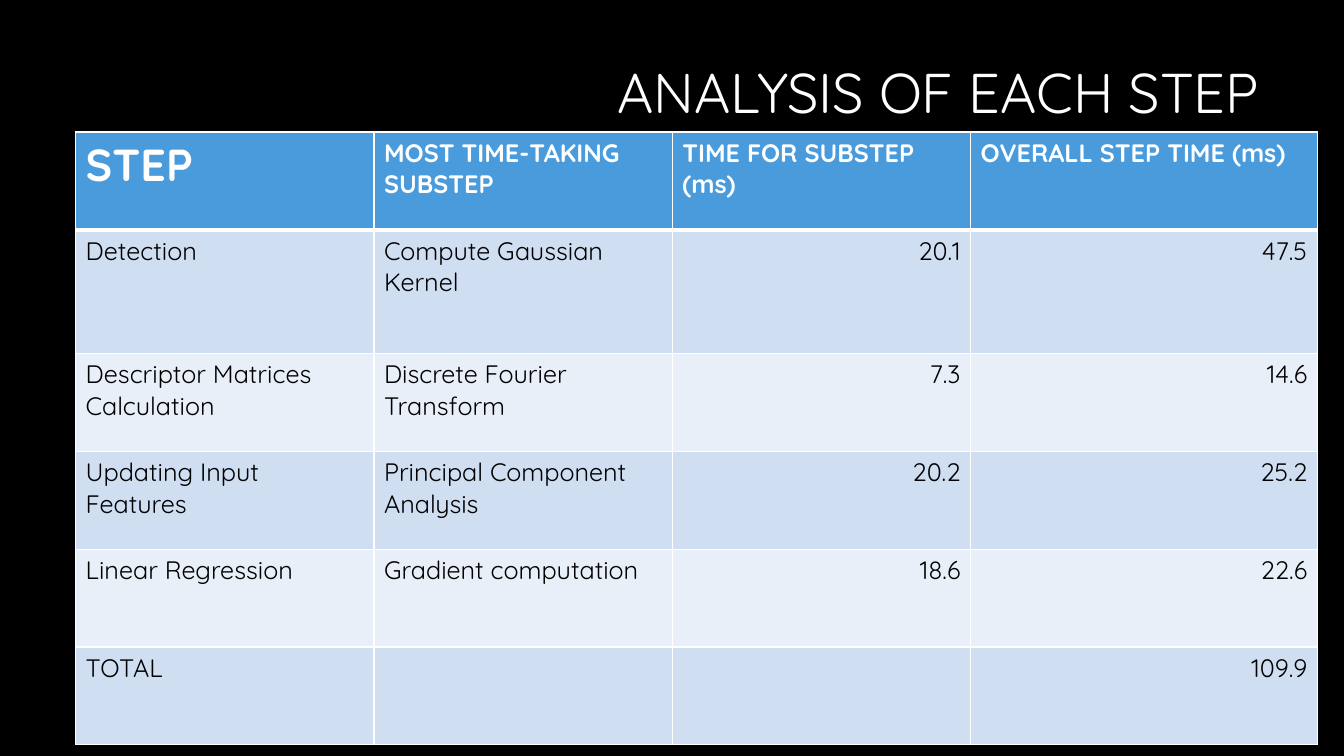
from lxml import etree
from pptx import Presentation
from pptx.dml.color import RGBColor
from pptx.enum import text
from pptx.oxml import ns
from pptx.util import Pt

BLACK = RGBColor(0x00, 0x00, 0x00)
WHITE = RGBColor(0xFF, 0xFF, 0xFF)
HEADER_BLUE = RGBColor(0x4A, 0x9B, 0xDC)
BAND_DARK = RGBColor(0xD0, 0xDE, 0xF2)
BAND_LIGHT = RGBColor(0xE9, 0xEF, 0xF9)

HEADINGS = ["STEP", "MOST TIME-TAKING SUBSTEP", "TIME FOR SUBSTEP (ms)", "OVERALL STEP TIME (ms)"]
STEPS = [
    ["Detection", "Compute Gaussian Kernel", "20.1", "47.5"],
    ["Descriptor Matrices Calculation", "Discrete Fourier Transform", "7.3", "14.6"],
    ["Updating Input Features", "Principal Component Analysis", "20.2", "25.2"],
    ["Linear Regression", "Gradient computation", "18.6", "22.6"],
    ["TOTAL", "", "", "109.9"],
]
COLUMN_WIDTHS = [213.12, 213.12, 213.12, 247.68]
ROW_HEIGHTS = [69.84, 88.56, 69.84, 69.84, 69.84, 69.84]


def write(paragraph, wording, size, color, bold=False, align=text.PP_ALIGN.LEFT):
    paragraph.alignment = align
    run = paragraph.add_run()
    run.text = wording
    for name, value in {"name": "Quicksand", "size": Pt(size), "bold": bold}.items():
        setattr(run.font, name, value)
    run.font.color.rgb = color


def add_title(slide, wording):
    box = slide.shapes.add_textbox(Pt(228.24), Pt(17.28), Pt(678.24), Pt(101.52))
    frame = box.text_frame
    layout = {
        "word_wrap": True,
        "auto_size": text.MSO_AUTO_SIZE.NONE,
        "vertical_anchor": text.MSO_ANCHOR.MIDDLE,
    }
    for name, value in layout.items():
        setattr(frame, name, value)
    heading = frame.paragraphs[0]
    heading.line_spacing = 0.9
    write(heading, wording, 40, WHITE, align=text.PP_ALIGN.RIGHT)


def add_borders(cell, widths):
    properties = cell._tc.get_or_add_tcPr()
    for side, width in widths.items():
        line = etree.SubElement(properties, ns.qn(f"a:ln{side}"), w=str(Pt(width)))
        fill = etree.SubElement(line, ns.qn("a:solidFill"))
        etree.SubElement(fill, ns.qn("a:srgbClr"), val=str(WHITE))


def fill_cell(cell, wording, row, column):
    is_header = row == 0
    add_borders(cell, {"L": 1, "R": 1, "T": 3 if row == 1 else 1, "B": 3 if is_header else 1})
    cell.fill.solid()
    band = BAND_DARK if row % 2 else BAND_LIGHT
    cell.fill.fore_color.rgb = HEADER_BLUE if is_header else band
    if wording:
        is_number = not is_header and column >= 2
        write(
            cell.text_frame.paragraphs[0],
            wording,
            size=32 if is_header and column == 0 else 18,
            color=WHITE if is_header else BLACK,
            bold=is_header,
            align=text.PP_ALIGN.RIGHT if is_number else text.PP_ALIGN.LEFT,
        )


def add_timings(slide, rows):
    timings = slide.shapes.add_table(
        len(rows), len(HEADINGS), Pt(54), Pt(94.32),
        Pt(sum(COLUMN_WIDTHS)), Pt(sum(ROW_HEIGHTS)),
    ).table
    for column, width in zip(timings.columns, COLUMN_WIDTHS):
        column.width = Pt(width)
    for row, height in zip(timings.rows, ROW_HEIGHTS):
        row.height = Pt(height)
    for r, wordings in enumerate(rows):
        for c, wording in enumerate(wordings):
            fill_cell(timings.cell(r, c), wording, r, c)


def main():
    deck = Presentation()
    deck.slide_width, deck.slide_height = Pt(960), Pt(540)
    slide = deck.slides.add_slide(deck.slide_layouts[6])
    slide.background.fill.solid()
    slide.background.fill.fore_color.rgb = BLACK
    add_title(slide, "ANALYSIS OF EACH STEP")
    add_timings(slide, [HEADINGS, *STEPS])
    deck.save("out.pptx")


if __name__ == "__main__":
    main()
